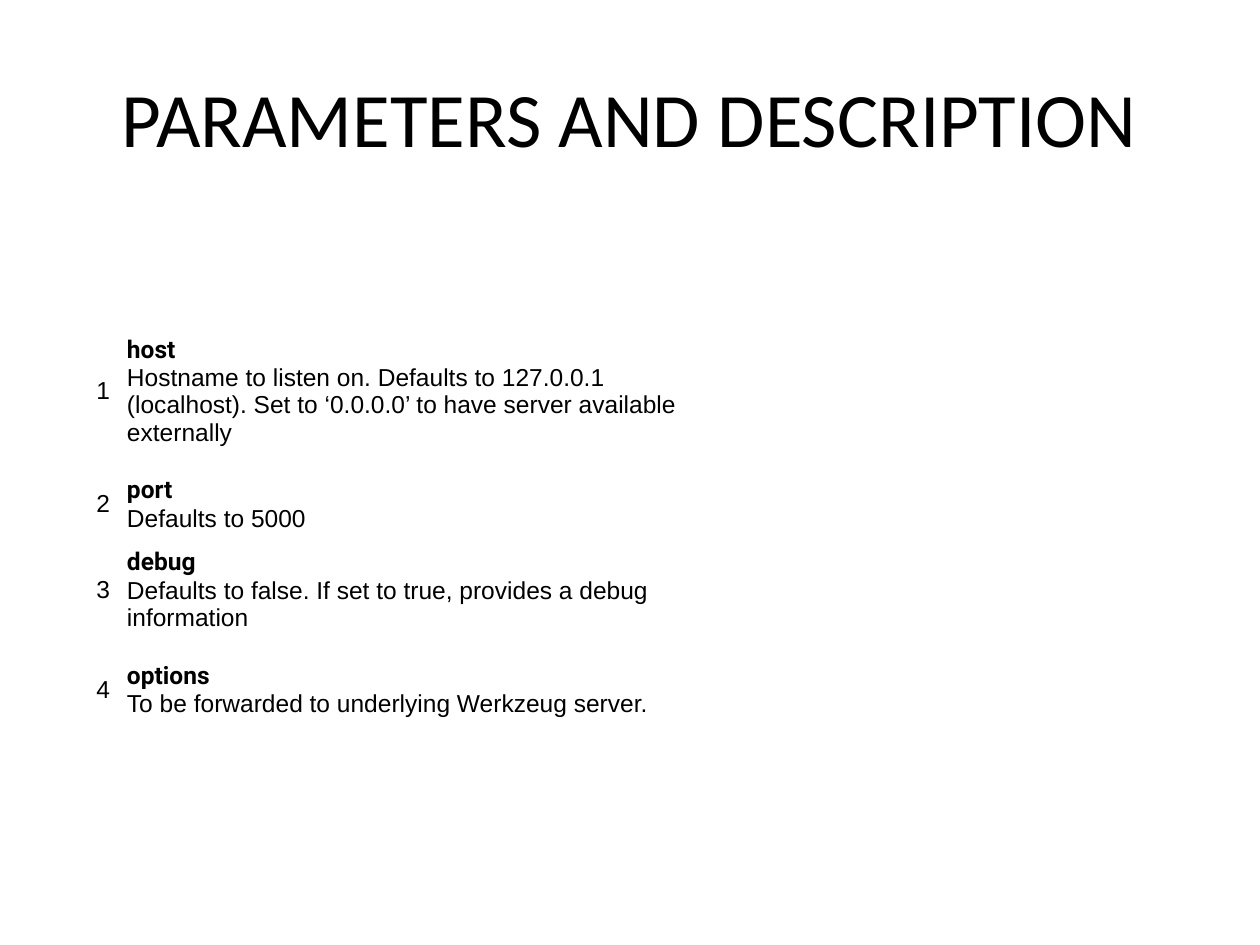
from pptx import Presentation
from pptx.dml.color import RGBColor as Rgb
from pptx.enum.text import MSO_ANCHOR as Anchor, PP_ALIGN as Align
from pptx.util import Cm, Pt

COLOURS = {"ink": "000000", "paper": "FFFFFF"}

PARAMETERS = [
    ("host", "Hostname to listen on. Defaults to 127.0.0.1 (localhost). "
             "Set to ‘0.0.0.0’ to have server available externally"),
    ("port", "Defaults to 5000"),
    ("debug", "Defaults to false. If set to true, provides a debug information"),
    ("options", "To be forwarded to underlying Werkzeug server."),
]
ROW_HEIGHTS = [3.12, 1.45, 2.01, 2.01]
COLUMN_WIDTHS = [0.66, 12.45]


def write(paragraph, text, *, font="Arial", size=14, bold=False,
          align=Align.LEFT, colour="ink"):
    paragraph.alignment = align
    run = paragraph.add_run()
    run.text = text
    run.font.name = font
    run.font.size = Pt(size)
    run.font.bold = bold
    run.font.color.rgb = Rgb.from_string(COLOURS[colour])


class ParameterSlide:
    cell_margin = Cm(0.15)

    def __init__(self, deck):
        self.slide = deck.slides.add_slide(deck.slide_layouts[5])

    def title(self, text, left, top, width, height):
        heading = self.slide.shapes.title
        heading.left, heading.top = Cm(left), Cm(top)
        heading.width, heading.height = Cm(width), Cm(height)
        heading.text_frame.vertical_anchor = Anchor.MIDDLE
        write(heading.text_frame.paragraphs[0], text,
              font="Calibri", size=44, align=Align.CENTER)

    def cell(self, cell):
        cell.fill.solid()
        cell.fill.fore_color.rgb = Rgb.from_string(COLOURS["paper"])
        cell.vertical_anchor = Anchor.MIDDLE
        cell.margin_left = cell.margin_right = self.cell_margin
        cell.margin_top = cell.margin_bottom = self.cell_margin
        return cell.text_frame

    def table(self, parameters, left, top):
        grid = self.slide.shapes.add_table(
            len(parameters), len(COLUMN_WIDTHS), Cm(left), Cm(top),
            Cm(sum(COLUMN_WIDTHS)), Cm(sum(ROW_HEIGHTS))).table
        grid.first_row = grid.horz_banding = False
        for column, width in zip(grid.columns, COLUMN_WIDTHS):
            column.width = Cm(width)
        for row, height in zip(grid.rows, ROW_HEIGHTS):
            row.height = Cm(height)
        for index, (name, description) in enumerate(parameters):
            number = self.cell(grid.cell(index, 0))
            write(number.paragraphs[0], str(index + 1), align=Align.CENTER)
            details = self.cell(grid.cell(index, 1))
            write(details.paragraphs[0], name, font="Roboto", bold=True)
            write(details.add_paragraph(), description)


def main():
    deck = Presentation()
    deck.slide_width, deck.slide_height = Cm(25.4), Cm(19.05)
    page = ParameterSlide(deck)
    page.title("PARAMETERS AND DESCRIPTION", 1.27, 0.76, 22.86, 3.18)
    page.table(PARAMETERS, 1.75, 6.32)
    deck.save("out.pptx")


if __name__ == "__main__":
    main()
